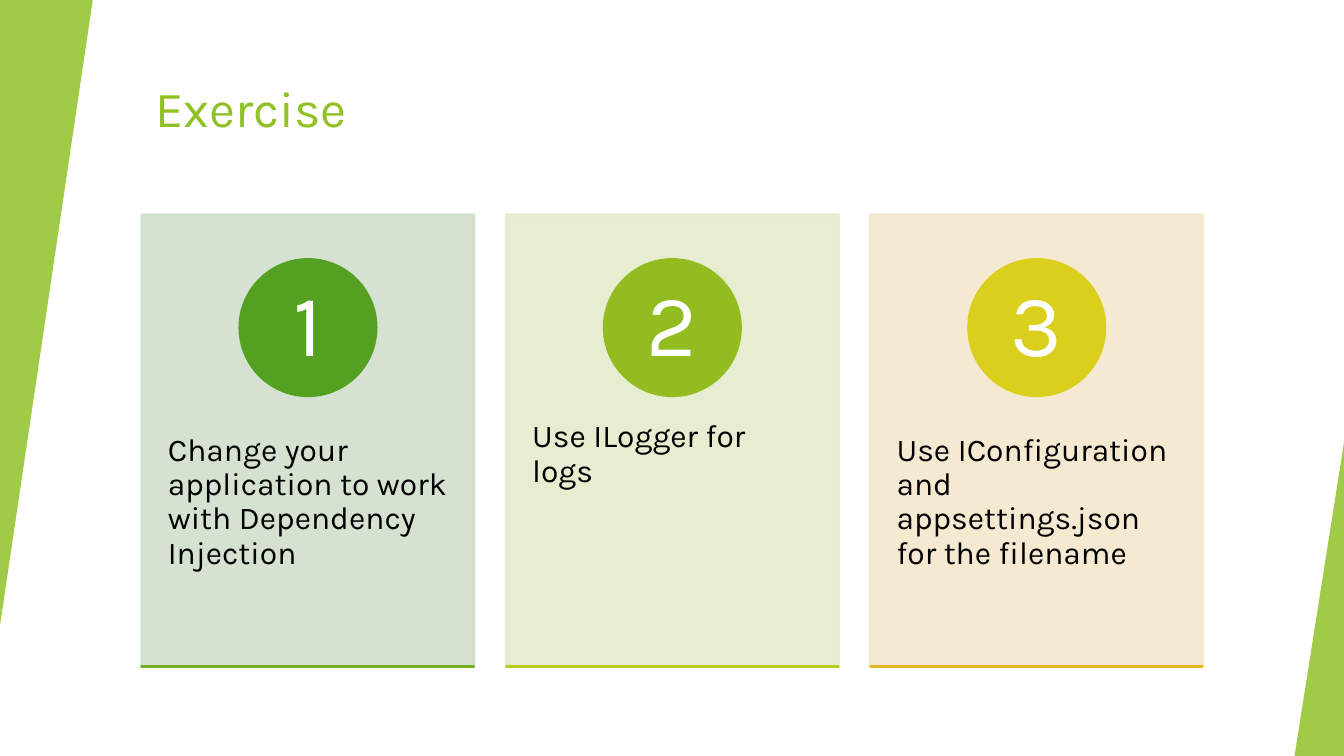
from dataclasses import dataclass

from lxml import etree
from pptx import Presentation
from pptx.dml.color import RGBColor
from pptx.enum.shapes import MSO_SHAPE
from pptx.enum.text import MSO_ANCHOR, PP_ALIGN
from pptx.oxml.ns import qn
from pptx.shapes.autoshape import Shape
from pptx.slide import Slide
from pptx.util import Pt

RECTANGLE = MSO_SHAPE.RECTANGLE
OVAL = MSO_SHAPE.OVAL
TRIANGLE = MSO_SHAPE.ISOSCELES_TRIANGLE
TOP, MIDDLE = MSO_ANCHOR.TOP, MSO_ANCHOR.MIDDLE
LEFT, CENTER = PP_ALIGN.LEFT, PP_ALIGN.CENTER

FONT = "Karla"
GREEN, BLACK, WHITE = "90C226", "000000", "FFFFFF"
OUTLINE = 1.5
CARD_LEFT, CARD_TOP = 76, 115
CARD_WIDTH, CARD_HEIGHT = 178, 242
CARD_PITCH = 195.2
CIRCLE_TOP, CIRCLE_SIZE = 139, 73
NUMBER_SIZE = 51
TEXT_TOP, TEXT_HEIGHT = 206.8, 145


@dataclass(frozen=True)
class Area:
    """A rectangle in points."""

    left: float
    top: float
    width: float
    height: float


@dataclass(frozen=True)
class TextStyle:
    """Size, colour, placement and margins of a text, in points."""

    size: float
    color: str
    anchor: MSO_ANCHOR
    align: PP_ALIGN
    margin_x: float
    margin_y: float
    line_spacing: float


@dataclass(frozen=True)
class Card:
    """One numbered step of the exercise."""

    number: str
    text: str
    panel: str
    circle: str
    bar: str


TITLE = TextStyle(27, GREEN, TOP, LEFT, 7.2, 5.5, 1.0)
NUMBER = TextStyle(47, WHITE, MIDDLE, CENTER, 5.7, 0.9, 0.9)
BODY = TextStyle(17, BLACK, TOP, LEFT, 13.9, 25.7, 0.9)

CARDS = (
    Card("1", "Change your application to work with Dependency Injection",
         "D1DFCD", "54A021", "71AE20"),
    Card("2", "Use ILogger for logs", "E5ECCB", "92BC1F", "B9CB1E"),
    Card("3", "Use IConfiguration and appsettings.json for the filename",
         "F5E7CD", "DACF1C", "E6B91E"),
)


def rgb(color: str) -> RGBColor:
    """Turn a hex string into a colour."""
    return RGBColor.from_string(color)


def add_figure(page: Slide, kind: MSO_SHAPE, area: Area, color: str,
               opacity: int = 100, outlined: bool = True) -> Shape:
    """Draw a preset shape with fill and outline of one colour."""
    shape = page.shapes.add_shape(kind, Pt(area.left), Pt(area.top),
                                  Pt(area.width), Pt(area.height))
    shape.shadow.inherit = False
    shape.fill.solid()
    shape.fill.fore_color.rgb = rgb(color)
    if outlined:
        shape.line.color.rgb = rgb(color)
        shape.line.width = Pt(OUTLINE)
    else:
        shape.line.fill.background()
    if opacity < 100:
        for tone in shape.element.spPr.iter(qn("a:srgbClr")):
            etree.SubElement(tone, qn("a:alpha"), val=str(opacity * 1000))
    return shape


def add_text(page: Slide, area: Area, text: str, style: TextStyle) -> None:
    """Place a one-paragraph text box."""
    box = page.shapes.add_textbox(Pt(area.left), Pt(area.top),
                                  Pt(area.width), Pt(area.height))
    frame = box.text_frame
    frame.word_wrap = True
    frame.vertical_anchor = style.anchor
    frame.margin_left = frame.margin_right = Pt(style.margin_x)
    frame.margin_top = frame.margin_bottom = Pt(style.margin_y)
    para = frame.paragraphs[0]
    para.alignment = style.align
    para.line_spacing = style.line_spacing
    span = para.add_run()
    span.text = text
    span.font.name = FONT
    span.font.size = Pt(style.size)
    span.font.color.rgb = rgb(style.color)


def add_wedge(page: Slide, area: Area, rotation: float = 0) -> None:
    """Draw a right-angled triangle at the edge of the page."""
    wedge = add_figure(page, TRIANGLE, area, GREEN, 85, outlined=False)
    wedge.adjustments[0] = 1
    wedge.rotation = rotation


def add_card(page: Slide, card: Card, left: float) -> None:
    """Draw a panel with its number, text and bottom bar."""
    middle = left + CARD_WIDTH / 2
    inset = (CIRCLE_SIZE - NUMBER_SIZE) / 2
    add_figure(page, RECTANGLE, Area(left, CARD_TOP, CARD_WIDTH, CARD_HEIGHT),
               card.panel, 90)
    add_text(page, Area(left, TEXT_TOP, CARD_WIDTH, TEXT_HEIGHT), card.text, BODY)
    add_figure(page, OVAL, Area(middle - CIRCLE_SIZE / 2, CIRCLE_TOP,
                                CIRCLE_SIZE, CIRCLE_SIZE), card.circle)
    add_text(page, Area(middle - NUMBER_SIZE / 2, CIRCLE_TOP + inset,
                        NUMBER_SIZE, NUMBER_SIZE), card.number, NUMBER)
    add_figure(page, RECTANGLE,
               Area(left, CARD_TOP + CARD_HEIGHT, CARD_WIDTH, 0.01), card.bar)


def main() -> None:
    """Build the slide and save it."""
    deck = Presentation()
    deck.slide_width, deck.slide_height = Pt(720), Pt(405)
    page = deck.slides.add_slide(deck.slide_layouts[6])
    add_text(page, Area(CARD_LEFT, 36, 602, 65), "Exercise", TITLE)
    add_wedge(page, Area(0, 0, 49.7, 335), 180)
    add_wedge(page, Area(693.5, 237, 26.5, 168))
    for index, card in enumerate(CARDS):
        add_card(page, card, CARD_LEFT + index * CARD_PITCH)
    deck.save("out.pptx")


if __name__ == "__main__":
    main()
